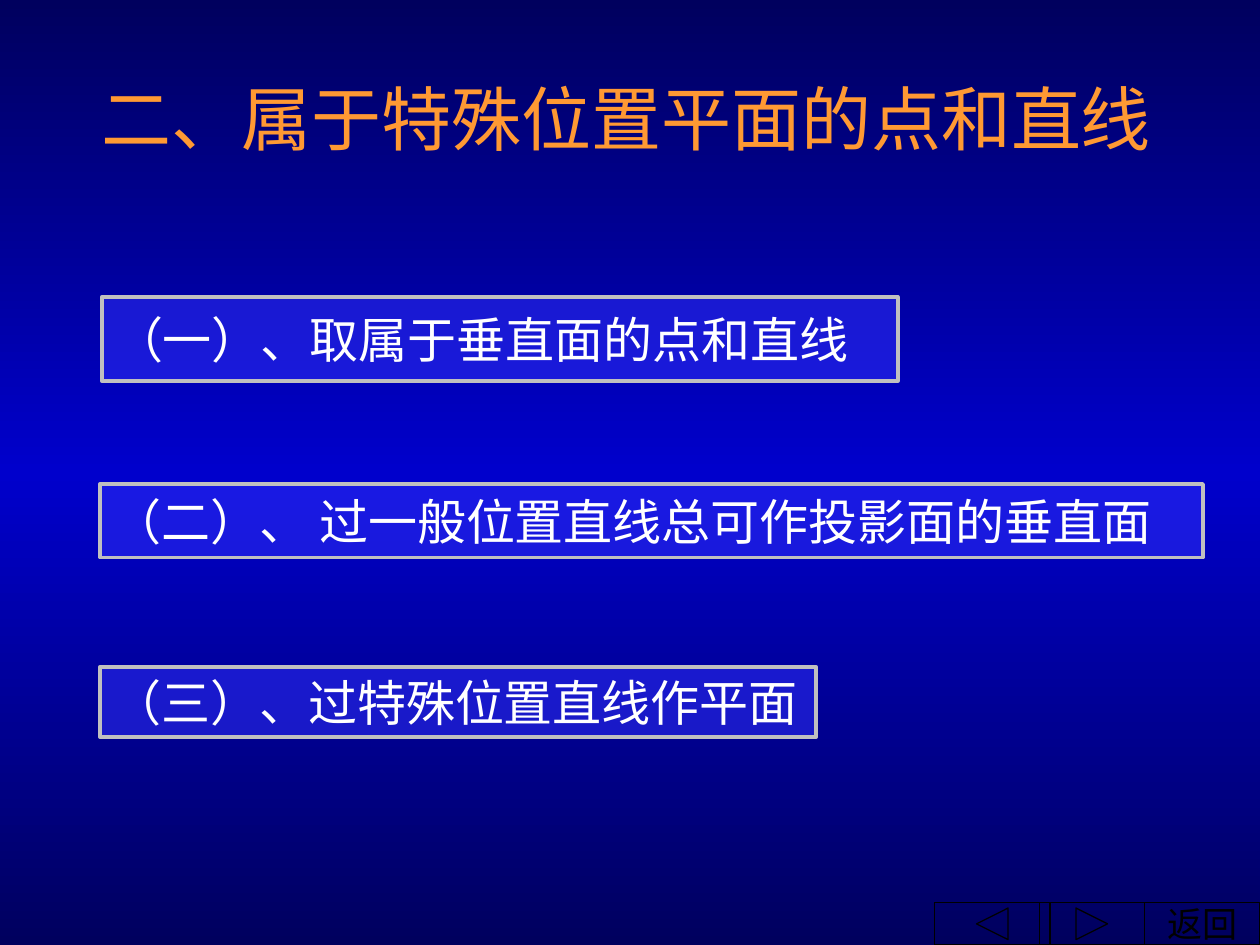
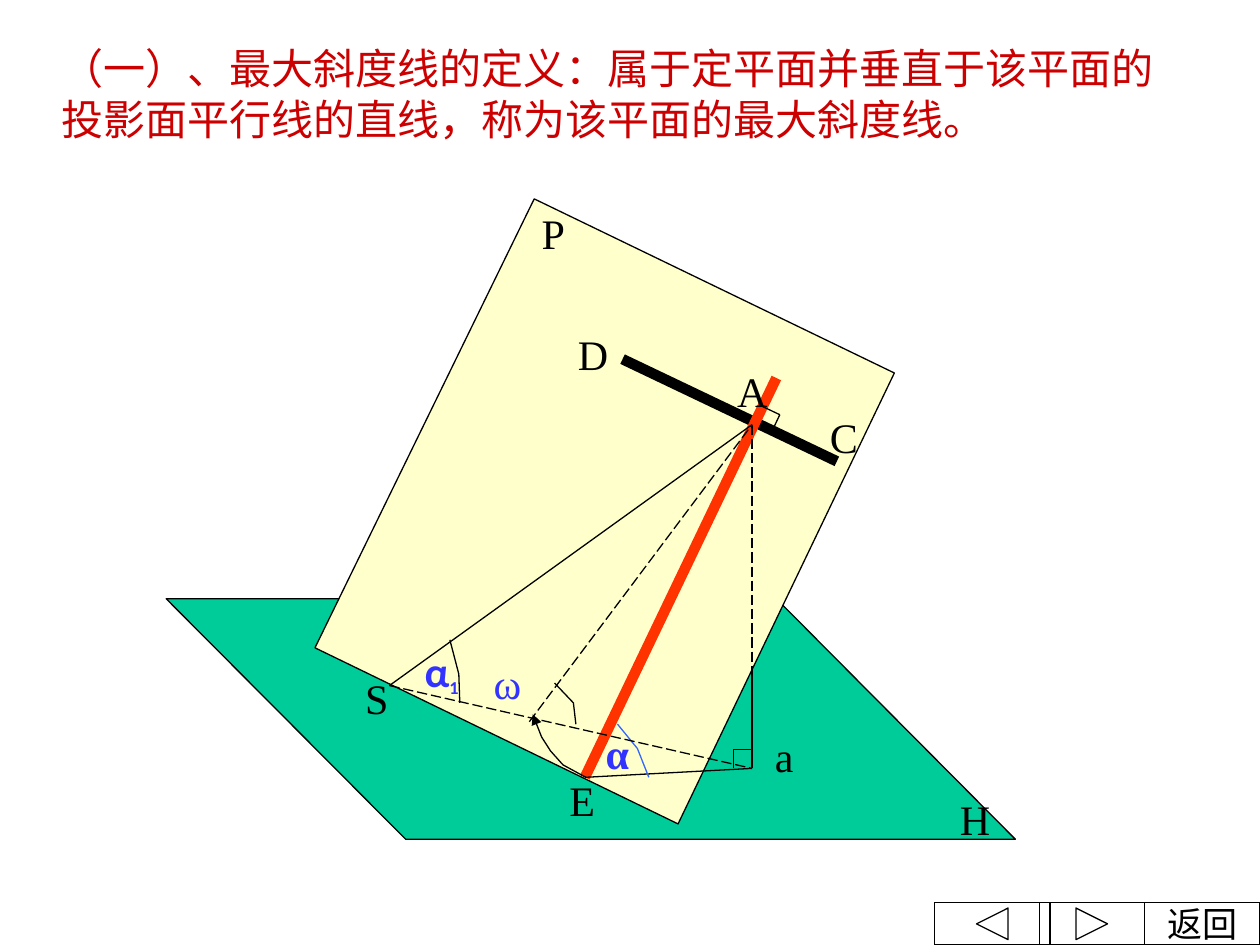
from copy import deepcopy
from itertools import pairwise

from lxml.etree import SubElement
from pptx import Presentation
from pptx.dml.color import RGBColor
from pptx.enum.dml import MSO_LINE
from pptx.enum.shapes import MSO_CONNECTOR, MSO_SHAPE
from pptx.enum.text import MSO_ANCHOR, PP_ALIGN
from pptx.oxml.ns import qn
from pptx.util import Cm, Pt

SERIF, SANS, GREEK = "Times New Roman", "Noto Sans CJK SC", "Calibri"
BLACK, WHITE, BLUE = "000000", "FFFFFF", "3333FF"
NAVY, ROYAL, ORANGE, SILVER = "00005E", "0000CC", "FF9933", "C0C0C0"
CRIMSON, RED, GREEN, CREAM, SKY = "CC0000", "FF3300", "00CC99", "FFFFCC", "3366FF"


def color(hex_code):
    return RGBColor.from_string(hex_code)


def add_page(deck):
    return deck.slides.add_slide(deck.slide_layouts[6])


def add_run(para, text, size, ink, font=SERIF, bold=False):
    span = para.add_run()
    span.text = text
    span.font.size = Pt(size)
    span.font.name = font
    span.font.bold = bold
    span.font.color.rgb = color(ink)


def set_outline(shape, ink=BLACK, weight=0.75):
    shape.line.color.rgb = color(ink)
    shape.line.width = Pt(weight)


def add_text(page, text, left, top, width, height, size=24, ink=BLACK,
             font=SERIF, bold=False, align=PP_ALIGN.LEFT):
    box = page.shapes.add_textbox(Cm(left), Cm(top), Cm(width), Cm(height))
    box.text_frame.word_wrap = True
    para = box.text_frame.paragraphs[0]
    para.alignment = align
    add_run(para, text, size, ink, font, bold)
    return box


def add_label(page, text, left, top, width=1.5, **style):
    return add_text(page, text, left, top, width, 1.27, **style)


def add_lines(page, *points, ink=BLACK, weight=0.75, dashed=False):
    """Join consecutive points with straight connectors."""
    for (x1, y1), (x2, y2) in pairwise(points):
        line = page.shapes.add_connector(
            MSO_CONNECTOR.STRAIGHT, Cm(x1), Cm(y1), Cm(x2), Cm(y2))
        set_outline(line, ink, weight)
        if dashed:
            line.line.dash_style = MSO_LINE.LONG_DASH
        SubElement(line.element.spPr, qn("a:effectLst"))


def add_outline(page, points, fill=None, ink=BLACK, arrow=False):
    """Draw a filled polygon, or an open curve when there is no fill."""
    corners = [(Cm(x), Cm(y)) for x, y in points]
    builder = page.shapes.build_freeform(*corners[0], scale=1.0)
    builder.add_line_segments(corners[1:], close=bool(fill))
    shape = builder.convert_to_shape()
    shape.shadow.inherit = False
    if fill:
        shape.fill.solid()
        shape.fill.fore_color.rgb = color(fill)
    else:
        shape.fill.background()
    set_outline(shape, ink)
    if arrow:
        SubElement(shape.element.spPr.find(qn("a:ln")), qn("a:tailEnd"), type="triangle")


def add_topic(page, text, left, top, width, height):
    """Half-transparent framed bar holding one topic."""
    bar = page.shapes.add_shape(
        MSO_SHAPE.RECTANGLE, Cm(left), Cm(top), Cm(width), Cm(height))
    bar.shadow.inherit = False
    bar.fill.solid()
    bar.fill.fore_color.rgb = color(BLUE)
    tint = bar.element.spPr.find(qn("a:solidFill"))[0]
    SubElement(tint, qn("a:alpha"), val="50000")
    set_outline(bar, SILVER, 2.25)
    frame = bar.text_frame
    frame.word_wrap = True
    frame.margin_right = 0
    frame.vertical_anchor = MSO_ANCHOR.MIDDLE
    para = frame.paragraphs[0]
    para.alignment = PP_ALIGN.LEFT
    add_run(para, text, 28, WHITE, SANS)
    for props in bar.element.iter(qn("a:rPr")):
        SubElement(props, qn("a:ea"), typeface=SANS)


def add_navigation(page):
    buttons = [
        (MSO_SHAPE.ACTION_BUTTON_CUSTOM, 23.07, 2.33, "返回"),
        (MSO_SHAPE.ACTION_BUTTON_BACK_OR_PREVIOUS, 18.84, 2.33, ""),
        (MSO_SHAPE.ACTION_BUTTON_FORWARD_OR_NEXT, 20.95, 2.12, ""),
    ]
    for kind, left, width, caption in buttons:
        button = page.shapes.add_shape(kind, Cm(left), Cm(18.2), Cm(width), Cm(0.85))
        button.shadow.inherit = False
        button.fill.background()
        set_outline(button)
        if caption:
            frame = button.text_frame
            frame.word_wrap = True
            frame.vertical_anchor = MSO_ANCHOR.MIDDLE
            para = frame.paragraphs[0]
            para.alignment = PP_ALIGN.CENTER
            add_run(para, caption, 20, BLACK)


def paint_gradient(page, edge, middle):
    """Vertical background blend: edge, middle, edge."""
    fill = page.background.fill
    fill.gradient()
    fill.gradient_angle = 90
    stop_list = next(page.element.iter(qn("a:gsLst")))
    stop_list.append(deepcopy(stop_list[0]))
    for stop, place, ink in zip(fill.gradient_stops, (0, 0.5, 1), (edge, middle, edge)):
        stop.position = place
        stop.color.rgb = color(ink)


def build_contents(deck):
    page = add_page(deck)
    paint_gradient(page, NAVY, ROYAL)
    add_topic(page, "（一）、取属于垂直面的点和直线", 2.05, 5.99, 16.05, 1.69)
    add_topic(page, "（二）、 过一般位置直线总可作投影面的垂直面", 2.02, 9.76, 22.23, 1.48)
    add_topic(page, "（三）、过特殊位置直线作平面", 2.02, 13.44, 14.43, 1.42)
    add_text(page, "二、属于特殊位置平面的点和直线", 1.35, 1.4, 22.56, 1.9,
             size=40, ink=ORANGE, align=PP_ALIGN.CENTER)
    add_navigation(page)


def build_definition(deck):
    page = add_page(deck)
    page.background.fill.solid()
    page.background.fill.fore_color.rgb = color(WHITE)
    point_a, foot_a = (15.16, 8.56), (15.16, 15.49)
    point_s, point_e = (7.85, 13.82), (11.79, 15.67)
    plane_edge = (15.16, 13.44)

    # The two planes
    add_outline(page, [(3.35, 12.07), (8.18, 16.92), (20.47, 16.92), (15.65, 12.07)], GREEN)
    add_label(page, "H", 19.1, 15.88, 2.24)
    add_outline(page, [(6.35, 13.06), (13.67, 16.61), (18.03, 7.52), (10.77, 4.01)], CREAM)
    add_label(page, "P", 10.67, 4.06)

    # Parallel line DC and steepest line AE
    add_lines(page, (12.55, 7.24), (16.87, 9.3), weight=6)
    add_label(page, "C", 16.48, 8.18)
    add_label(page, "D", 11.4, 6.5)
    add_lines(page, point_e, (15.65, 7.62), ink=RED, weight=6)
    add_label(page, "A", 14.61, 7.24)
    add_label(page, "E", 11.23, 15.49)
    add_lines(page, (15.34, 8.18), (15.72, 8.36), (15.54, 8.74))

    add_text(page, "（一）、最大斜度线的定义：属于定平面并垂直于该平面的"
             "投影面平行线的直线，称为该平面的最大斜度线。",
             0.99, 0.74, 23.01, 2.97, ink=CRIMSON)

    # Projection of A and angle α
    add_lines(page, point_a, plane_edge, dashed=True)
    add_lines(page, plane_edge, foot_a, point_e)
    add_label(page, "α", 11.96, 14.55, 0.76, ink=BLUE, bold=True)
    add_lines(page, (15.16, 15.11), (14.78, 15.11), (14.78, 15.49))
    add_outline(page, [(12.45, 14.6), (12.85, 15.09), (13.08, 15.67)], ink=SKY)

    # Rotated line and angle ω
    add_lines(page, (10.67, 14.55), point_a, dashed=True)
    add_label(page, "ω", 9.7, 13.13, 1.85, ink=BLUE)
    add_outline(page, [(11.81, 15.67), (11.35, 15.42), (11.1, 15.14),
                       (10.92, 14.86), (10.74, 14.4)], arrow=True)
    add_outline(page, [(11.18, 13.77), (11.56, 14.17), (11.61, 14.6)])

    # Any other line AS and angle α1
    add_lines(page, point_a, point_s)
    add_lines(page, point_s, foot_a, dashed=True)
    add_label(page, "S", 7.11, 13.44)
    alpha_one = add_label(page, "α", 8.31, 12.88, 2.29, ink=BLUE, font=GREEK, bold=True)
    add_run(alpha_one.text_frame.paragraphs[0], "1", 18, BLUE, GREEK, True)
    list(alpha_one.element.iter(qn("a:rPr")))[-1].set("baseline", "-25000")
    add_outline(page, [(9.07, 12.9), (9.25, 13.59), (9.27, 14.17)])

    add_navigation(page)
    add_label(page, "a", 15.37, 14.61, 1.09)


def main():
    deck = Presentation()
    deck.slide_width, deck.slide_height = Cm(25.4), Cm(19.05)
    build_contents(deck)
    build_definition(deck)
    deck.save("out.pptx")


if __name__ == "__main__":
    main()
